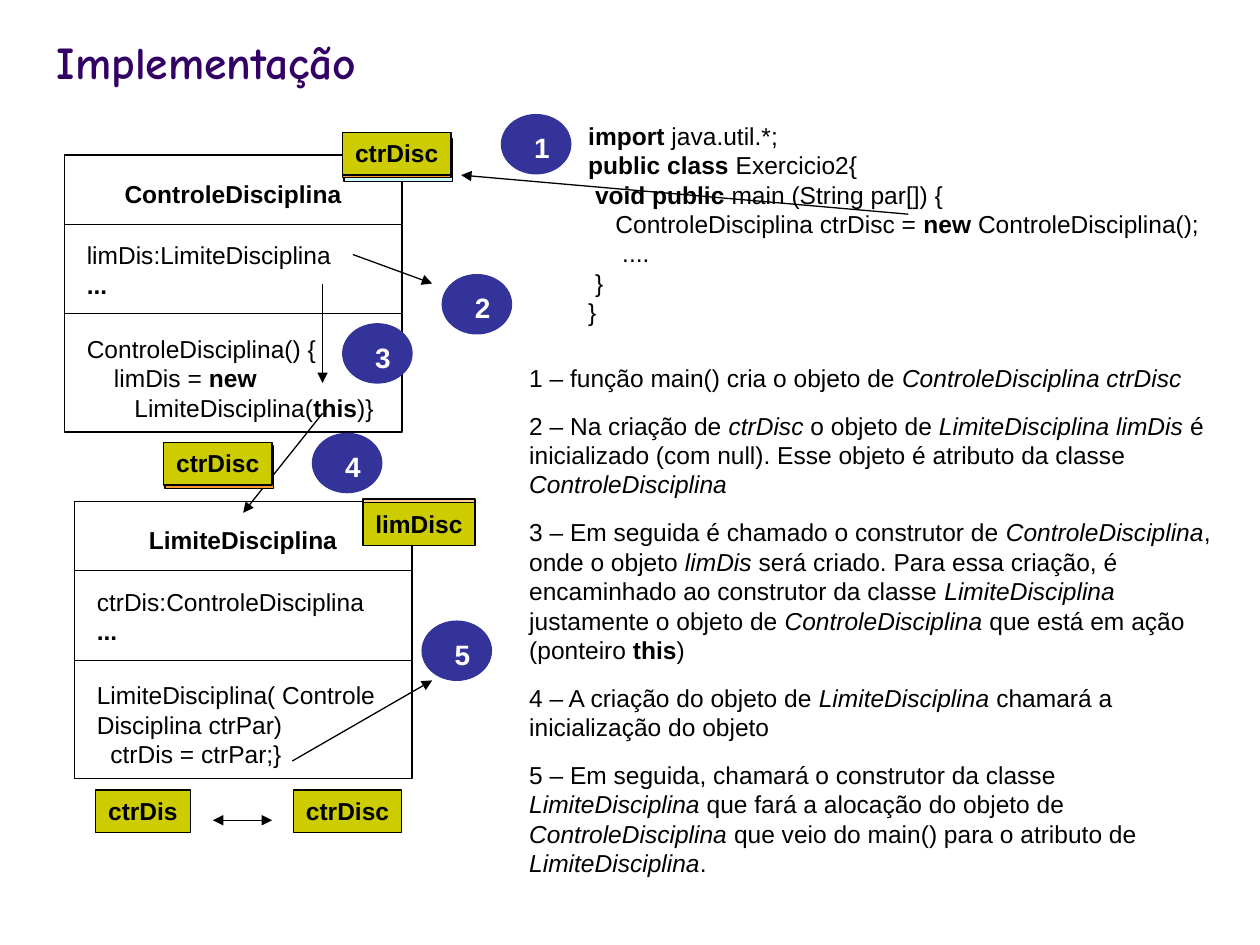
from lxml import etree
from pptx import Presentation
from pptx import util as u
from pptx.dml.color import RGBColor
from pptx.enum import shapes, text
from pptx.oxml.ns import qn

COLORS = {
    "title": "330066", "badge": "333399", "ink": "000000", "paper": "FFFFFF",
    "tag": "CCCC00", "orange": "FF9933", "peach": "FFCC99", "aqua": "CCFFFF",
}
INSETS = {
    "margin_left": u.Inches(0.1), "margin_right": u.Inches(0.1),
    "margin_top": u.Inches(0.05), "margin_bottom": u.Inches(0.05),
    "auto_size": text.MSO_AUTO_SIZE.NONE,
}
TAG_HEIGHT = 0.34

# In all wording, ^ switches bold on and off and _ switches italic.
CODE = [
    "^import^ java.util.*;",
    "^public class ^Exercicio2{",
    "^ void public^ main (String par[]) {",
    "    ControleDisciplina ctrDisc =^ new ^ControleDisciplina();",
    "     ....",
    " }",
    "}",
]
STEPS = [
    "1 – função main() cria o objeto de _ControleDisciplina ctrDisc_",
    "2 – Na criação de _ctrDisc_ o objeto de_ LimiteDisciplina limDis _é inicializado "
    "(com null). Esse objeto é atributo da classe _ControleDisciplina_",
    "3 – Em seguida é chamado o construtor de _ControleDisciplina_, onde o objeto "
    "_limDis_ será criado. Para essa criação, é encaminhado ao construtor da classe "
    "_LimiteDisciplina _justamente o objeto de _ControleDisciplina_ que está em ação "
    "(ponteiro ^this^)",
    "4 – A criação do objeto de _LimiteDisciplina_ chamará a inicialização do objeto",
    "5 – Em seguida, chamará o construtor da classe _LimiteDisciplina_ que fará a "
    "alocação do objeto de _ControleDisciplina _que veio do main() para o atributo de "
    "_LimiteDisciplina_.",
]
CLASSES = [
    (0.51, 1.23, ["^ControleDisciplina^", "limDis:LimiteDisciplina\n^...^",
                  "ControleDisciplina() {\n    limDis = ^new^\n"
                  "       LimiteDisciplina(^this^)}"]),
    (0.59, 3.98, ["^LimiteDisciplina^", "ctrDis:ControleDisciplina\n^...^",
                  "LimiteDisciplina( Controle\nDisciplina ctrPar)\n"
                  "  ctrDis = ctrPar;}"]),
]
# height, text offset x and y, text height, alignment
COMPARTMENTS = [
    (0.55, 0.16, 0.14, 0.34, text.PP_ALIGN.CENTER),
    (0.71, 0.08, 0.08, 0.57, text.PP_ALIGN.LEFT),
    (0.94, 0.08, 0.11, 0.8, text.PP_ALIGN.LEFT),
]
CLASS_WIDTH = 2.68
ARROWS = [
    ((7.21, 1.7), (3.66, 1.39)), ((2.8, 2.02), (3.43, 2.25)),
    ((2.56, 2.25), (2.56, 3.04)), ((2.56, 3.28), (1.93, 4.07)),
    ((2.32, 6.04), (3.43, 5.4)),
]
BADGES = [(3.98, 0.91), (3.51, 2.18), (2.72, 2.57), (2.48, 3.44), (3.35, 4.93)]
CARDS = [
    (2.88, 3.96, 0.89, "peach"), (2.73, 1.1, 0.86, "aqua"),
    (2.72, 1.07, 0.86, "orange"), (1.31, 3.54, 0.86, "orange"),
]
TAGS = [
    (0.76, 6.27, 0.75, "ctrDis"), (2.33, 6.27, 0.86, "ctrDisc"),
    (2.88, 3.99, 0.89, "limDisc"), (2.72, 1.05, 0.86, "ctrDisc"),
    (1.3, 3.51, 0.86, "ctrDisc"),
]


def apply(target, values):
    for name, value in values.items():
        setattr(target, name, value)


def color(name):
    return RGBColor.from_string(COLORS[name])


def place(shape, *area):
    apply(shape, dict(zip(("left", "top", "width", "height"), map(u.Inches, area))))


class Drawer:
    def __init__(self, page, font="Arial", size=14):
        self.page, self.font, self.size = page, font, size

    def wording(self, shape, paragraphs, ink="ink", size=None, font=None,
                align=text.PP_ALIGN.LEFT, gap=0, wrap=True,
                anchor=text.MSO_ANCHOR.TOP, plain_list=False):
        frame = shape.text_frame
        apply(frame, {**INSETS, "word_wrap": wrap, "vertical_anchor": anchor})
        for number, lines in enumerate(paragraphs):
            para = frame.add_paragraph() if number else frame.paragraphs[0]
            if plain_list:
                props = para._p.get_or_add_pPr()
                props.set("marL", "0")
                props.set("indent", "0")
                etree.SubElement(props, qn("a:buNone"))
            apply(para, {"alignment": align, "space_before": u.Pt(gap if number else 0)})
            for row, line in enumerate(lines.split("\n")):
                if row:
                    para.add_line_break()
                self.spans(para, line, ink, size or self.size, font or self.font)

    def spans(self, para, line, ink, size, font):
        """Add one line of wording, reading its bold and italic marks."""
        for bold, chunk in enumerate(line.split("^")):
            for italic, piece in enumerate(chunk.split("_")):
                if piece:
                    span = para.add_run()
                    span.text = piece
                    apply(span.font, {"name": font, "size": u.Pt(size),
                                      "bold": bold % 2 == 1, "italic": italic % 2 == 1})
                    span.font.color.rgb = color(ink)

    def shape(self, kind, area, fill, line="ink", parent=None):
        shape = (parent or self.page).shapes.add_shape(kind, *map(u.Inches, area))
        shape.shadow.inherit = False
        shape.fill.solid()
        shape.fill.fore_color.rgb = color(fill)
        shape.line.color.rgb = color(line)
        shape.line.width = u.Pt(0.75)
        return shape

    def box(self, area, paragraphs, parent=None, **style):
        box = (parent or self.page).shapes.add_textbox(*map(u.Inches, area))
        self.wording(box, paragraphs, **style)

    def uml_class(self, left, top, members):
        rect = shapes.MSO_SHAPE.RECTANGLE
        for member, (height, dx, dy, text_height, align) in zip(members, COMPARTMENTS):
            group = self.page.shapes.add_group_shape()
            self.shape(rect, (left, top, CLASS_WIDTH, height), "paper", parent=group)
            self.box((left + dx, top + dy, CLASS_WIDTH - 2 * dx, text_height),
                     [member], group, align=align)
            top += height

    def badge(self, left, top, number):
        group = self.page.shapes.add_group_shape()
        self.shape(shapes.MSO_SHAPE.OVAL, (left, top, 0.55, 0.47), "badge", "badge", group)
        self.box((left + 0.16, top + 0.08, 0.23, 0.37), [f"^{number}^"], group,
                 ink="paper", size=16)

    def card(self, left, top, width, fill, label=None):
        card = self.shape(shapes.MSO_SHAPE.RECTANGLE, (left, top, width, TAG_HEIGHT), fill)
        if label:
            self.wording(card, [f"^{label}^"], wrap=False)

    def arrow(self, start, end, ends=("tailEnd",)):
        arrow = self.page.shapes.add_connector(
            shapes.MSO_CONNECTOR.STRAIGHT, *map(u.Inches, start + end))
        arrow.line.color.rgb = color("ink")
        arrow.line.width = u.Pt(0.75)
        props = arrow._element.spPr
        for name in ends:
            etree.SubElement(props.find(qn("a:ln")), qn(f"a:{name}"), type="triangle")
        etree.SubElement(props, qn("a:effectLst"))


def main():
    deck = Presentation()
    deck.slide_width, deck.slide_height = u.Inches(10), u.Inches(7.5)
    page = deck.slides.add_slide(deck.slide_layouts[1])
    draw = Drawer(page)

    title, steps = page.placeholders
    place(title, 0.35, 0.13, 8.4, 0.62)
    draw.wording(title, ["^Implementação^"], ink="title", size=26, font="Comic Neue",
                 anchor=text.MSO_ANCHOR.BOTTOM)
    place(steps, 4.1, 2.83, 5.71, 4.19)
    draw.wording(steps, STEPS, gap=10.5, plain_list=True)

    for uml_class in CLASSES:
        draw.uml_class(*uml_class)
    draw.box((4.57, 0.91, 5.08, 1.74), CODE)
    for start, end in ARROWS:
        draw.arrow(start, end)
    draw.arrow((1.69, 6.51), (2.16, 6.51), ("headEnd", "tailEnd"))
    for number, (left, top) in enumerate(BADGES, 1):
        draw.badge(left, top, number)
    for card in CARDS:
        draw.card(*card)
    for left, top, width, label in TAGS:
        draw.card(left, top, width, "tag", label)
    deck.save("out.pptx")


if __name__ == "__main__":
    main()
